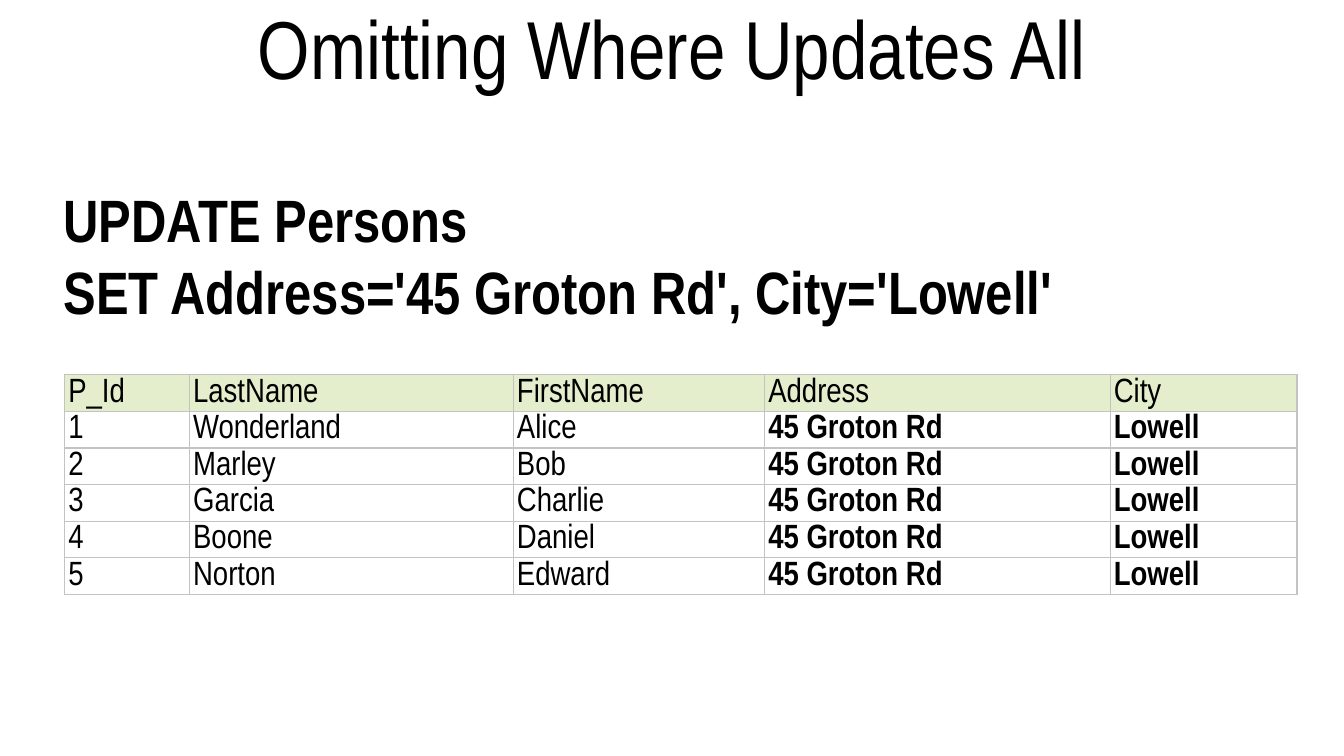
from lxml.etree import SubElement
from pptx import Presentation
from pptx.dml.color import RGBColor
from pptx.enum.text import MSO_ANCHOR as Anchor, PP_ALIGN as Align
from pptx.oxml.ns import qn
from pptx.util import Cm, Pt

FONT = "Arial Narrow"
BLACK, WHITE, HEADER_GREEN, BORDER_GREY = "000000", "FFFFFF", "E5EECC", "C3C3C3"
COLUMN_WIDTHS = [2.36, 6.12, 4.75, 6.53, 3.53]
HEADERS = ["P_Id", "LastName", "FirstName", "Address", "City"]
PEOPLE = [
    ("Wonderland", "Alice"),
    ("Marley", "Bob"),
    ("Garcia", "Charlie"),
    ("Boone", "Daniel"),
    ("Norton", "Edward"),
]
UPDATED = ["45 Groton Rd", "Lowell"]
CELL_FORMAT = {
    "margin_left": Cm(0.07),
    "margin_right": Cm(0.07),
    "margin_top": Cm(0.04),
    "margin_bottom": Cm(0.04),
    "vertical_anchor": Anchor.BOTTOM,
}


def color(hex_string):
    """Turn a hex string into a colour."""
    return RGBColor.from_string(hex_string)


def apply_format(target, values):
    """Set each named attribute on the target."""
    for name, value in values.items():
        setattr(target, name, value)


def write(paragraph, text, size, bold=False, **paragraph_format):
    """Fill a paragraph with formatted text."""
    paragraph.text = text
    apply_format(paragraph, paragraph_format)
    apply_format(paragraph.font, {"name": FONT, "size": Pt(size), "bold": bold})
    paragraph.font.color.rgb = color(BLACK)


def add_text(slide, box, text, size, anchor, bold=False, align=Align.LEFT):
    """Place a wrapped text box."""
    frame = slide.shapes.add_textbox(*map(Cm, box)).text_frame
    apply_format(frame, {"word_wrap": True, "vertical_anchor": anchor})
    write(frame.paragraphs[0], text, size, bold, alignment=align)


def add_title(slide, box):
    """Place the centred slide title."""
    add_text(slide, box, "Omitting Where Updates All", 44, Anchor.MIDDLE, align=Align.CENTER)


def add_statement(slide, box):
    """Place the SQL statement on two lines."""
    statement = "UPDATE Persons\vSET Address='45 Groton Rd', City='Lowell'"
    add_text(slide, box, statement, 32, Anchor.TOP, bold=True)


def add_borders(cell):
    """Draw a thin grey line on every side of a cell."""
    properties = cell._tc.get_or_add_tcPr()
    for position, side in enumerate(("lnL", "lnR", "lnT", "lnB")):
        line = SubElement(properties, qn(f"a:{side}"), w=str(Pt(0.75)))
        fill = SubElement(line, qn("a:solidFill"))
        SubElement(fill, qn("a:srgbClr"), val=BORDER_GREY)
        properties.insert(position, line)


def add_persons_table(slide, box):
    """Place the table of persons after the update."""
    rows = [HEADERS]
    rows += [[str(number), *person, *UPDATED] for number, person in enumerate(PEOPLE, 1)]
    table = slide.shapes.add_table(len(rows), len(HEADERS), *map(Cm, box)).table
    for column, width in zip(table.columns, COLUMN_WIDTHS):
        column.width = Cm(width)
    for row_index, row in enumerate(rows):
        for column_index, text in enumerate(row):
            cell = table.cell(row_index, column_index)
            apply_format(cell, CELL_FORMAT)
            cell.fill.solid()
            cell.fill.fore_color.rgb = color(WHITE if row_index else HEADER_GREEN)
            add_borders(cell)
            bold = row_index > 0 and text in UPDATED
            write(cell.text_frame.paragraphs[0], text, 18, bold, line_spacing=Pt(17))


def main():
    """Build and save the slide."""
    presentation = Presentation()
    apply_format(presentation, {"slide_width": Cm(25.4), "slide_height": Cm(14.28)})
    slide = presentation.slides.add_slide(presentation.slide_layouts[6])
    add_title(slide, (0, 0, 25.4, 1.75))
    add_statement(slide, (0.95, 3.33, 24.45, 3))
    add_persons_table(slide, (1.22, 7.08, sum(COLUMN_WIDTHS), 4.15))
    presentation.save("out.pptx")


if __name__ == "__main__":
    main()
